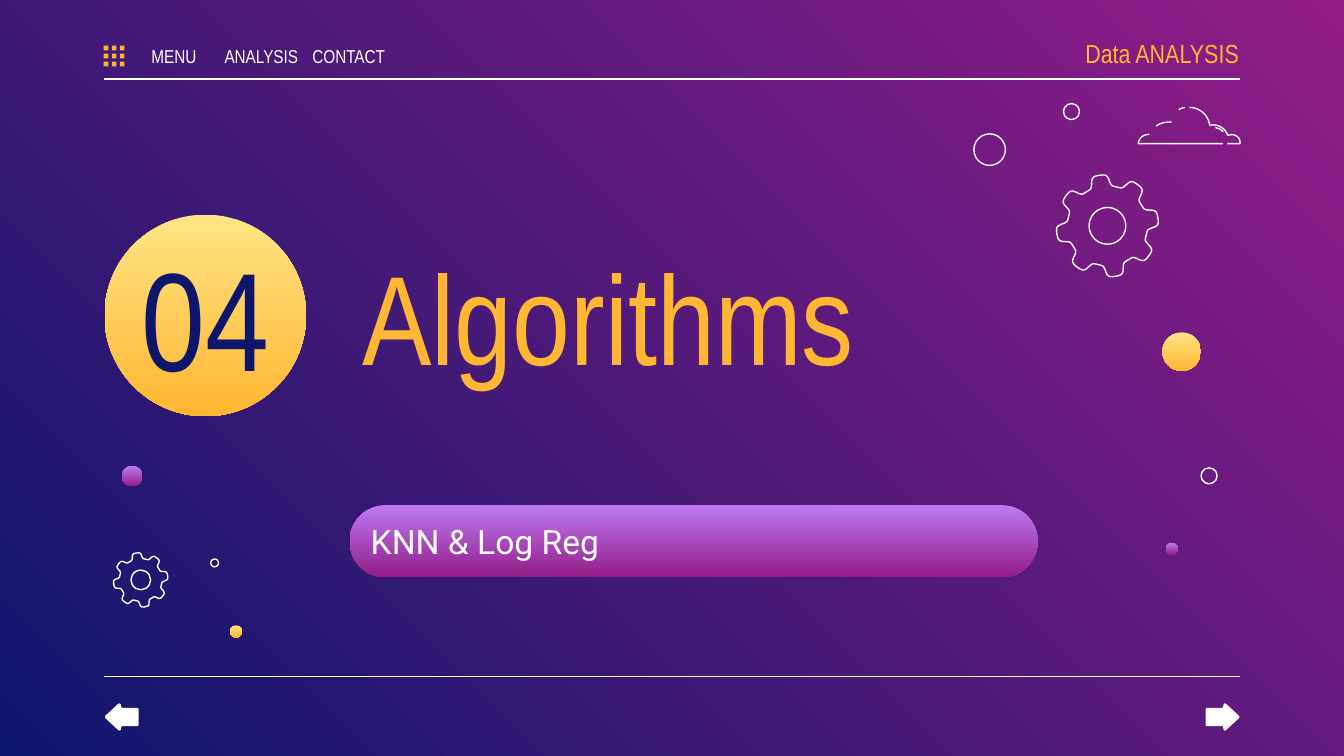
from dataclasses import dataclass
from itertools import product
from math import cos, pi, sin, tanh

from lxml.etree import SubElement
from pptx import Presentation
from pptx.dml.color import RGBColor
from pptx.enum.shapes import MSO_CONNECTOR, MSO_SHAPE
from pptx.enum.text import MSO_ANCHOR, MSO_AUTO_SIZE, PP_ALIGN
from pptx.oxml.ns import qn
from pptx.util import Pt


@dataclass(frozen=True)
class Theme:
    white: str = "FFFFFF"
    amber: str = "FFB632"
    navy: str = "0E166C"
    backdrop: tuple = ("921D87", "0E166C")
    gold: tuple = ("FFE485", "FFB632")
    violet: tuple = ("BE7AF3", "921D87")
    heading_font: str = "Arial Narrow"
    body_font: str = "Roboto"
    menu_size: float = 10
    brand_size: float = 14
    topic_size: float = 18
    title_size: float = 68
    number_size: float = 75
    stroke: float = 0.75


THEME = Theme()


# Shared helpers
def paint_gradient(fill, colors, clockwise):
    fill.gradient()
    fill.gradient_angle = 360 - clockwise
    for stop, color, position in zip(fill.gradient_stops, colors, (0, 1)):
        stop.color.rgb = RGBColor.from_string(color)
        stop.position = position


def style(shape, fill=None, line=None):
    """Fill with a colour, a pair of gradient colours or nothing."""
    shape.shadow.inherit = False
    if fill is None:
        shape.fill.background()
    elif isinstance(fill, tuple):
        paint_gradient(shape.fill, fill, 90)
    else:
        shape.fill.solid()
        shape.fill.fore_color.rgb = RGBColor.from_string(fill)
    if line is None:
        shape.line.fill.background()
    else:
        shape.line.color.rgb = RGBColor.from_string(line)
        shape.line.width = Pt(THEME.stroke)


def add_preset(shapes, kind, box, fill=None, line=None):
    shape = shapes.add_shape(kind, *map(Pt, box))
    style(shape, fill, line)
    return shape


def add_outline(shapes, points, closed, fill=None, line=None):
    corners = [(Pt(x), Pt(y)) for x, y in points]
    builder = shapes.build_freeform(*corners[0])
    builder.add_line_segments(corners[1:], close=closed)
    style(builder.convert_to_shape(), fill, line)


def add_circle(shapes, center_x, center_y, diameter, fill=None, line=None):
    box = (center_x - diameter / 2, center_y - diameter / 2, diameter, diameter)
    add_preset(shapes, MSO_SHAPE.OVAL, box, fill, line)


def write(holder, text, size, color, font=THEME.heading_font,
          align=PP_ALIGN.LEFT, insets=(7.2, 7.2)):
    frame = holder.text_frame
    frame.text = text
    frame.word_wrap = True
    frame.auto_size = MSO_AUTO_SIZE.NONE
    frame.vertical_anchor = MSO_ANCHOR.MIDDLE
    frame.margin_left, frame.margin_right = map(Pt, insets)
    frame.margin_top = frame.margin_bottom = Pt(7.2)
    paragraph = frame.paragraphs[0]
    paragraph.alignment = align
    run_font = paragraph.runs[0].font
    run_font.name, run_font.size = font, Pt(size)
    run_font.color.rgb = RGBColor.from_string(color)


def add_label(slide, box, *args, **options):
    write(slide.shapes.add_textbox(*map(Pt, box)), *args, **options)


def add_rule(slide, left, y, width):
    rule = slide.shapes.add_connector(
        MSO_CONNECTOR.STRAIGHT, Pt(left), Pt(y), Pt(left + width), Pt(y))
    rule.line.color.rgb = RGBColor.from_string(THEME.white)
    rule.line.width = Pt(THEME.stroke)
    SubElement(rule.element.spPr, qn("a:effectLst"))


# Drawn ornaments
def add_gear(shapes, center_x, center_y, radius):
    steps = 192
    outline = []
    for step in range(steps):
        angle = 2 * pi * step / steps
        tooth = tanh(2.5 * cos(8 * (angle + pi / 20))) / tanh(2.5)
        reach = radius * (0.89 + 0.11 * tooth)
        outline.append((center_x + reach * cos(angle), center_y + reach * sin(angle)))
    add_outline(shapes, outline, True, line=THEME.white)
    add_circle(shapes, center_x, center_y, radius * 0.72, line=THEME.white)


def bezier(start, control_1, control_2, end, steps=12):
    for step in range(steps + 1):
        t = step / steps
        weights = ((1 - t) ** 3, 3 * t * (1 - t) ** 2, 3 * t * t * (1 - t), t ** 3)
        yield tuple(sum(w * value for w, value in zip(weights, axis))
                    for axis in zip(start, control_1, control_2, end))


def add_cloud(slide, left, top):
    # Each stroke is a start point followed by control, control, end
    strokes = [
        [(27.4, 0), (33, 0), (37.5, 4), (38.3, 9.5), (42.5, 8.6), (46.5, 11), (48, 15),
         (51.5, 13.6), (55, 16), (54.5, 19.4), (52, 19.4), (50, 19.4), (47.8, 19.4)],
        [(25, 0), (25, 0), (22.5, 0.3), (21.8, 1.3)],
        [(45.4, 19.4), (30, 19.4), (15, 19.4), (0, 19.4), (0, 19.4), (0.5, 14.4), (6, 14.4)],
        [(41.3, 10.8), (41.3, 10.8), (44, 11.2), (45.4, 13)],
        [(17.9, 7.9), (17.9, 7.9), (13, 7.2), (9.6, 10)],
    ]
    cloud = slide.shapes.add_group_shape()
    for stroke in strokes:
        points = [point for i in range(0, len(stroke) - 1, 3)
                  for point in bezier(*stroke[i:i + 4])]
        add_outline(cloud.shapes, [(left + x, top + y) for x, y in points],
                    False, line=THEME.white)


def add_arrow(slide, left, top, direction):
    """Draw an 18 by 15 point arrow with softened corners; direction is 1 or -1."""
    upper = [(-9, -0.5), (-1.9, -7.1), (-1.2, -7.3), (-0.6, -6.9), (-0.3, -5.2),
             (0.2, -4.9), (8.4, -4.9), (9, -4.3)]
    half = [(x * -direction, y) for x, y in upper]
    profile = half + [(x, -y) for x, y in reversed(half)]
    add_outline(slide.shapes, [(left + 9 + x, top + 7.5 + y) for x, y in profile],
                True, fill=THEME.white)


# Slide regions
def draw_header(slide, left, top, width):
    add_rule(slide, left, top + 20.3, width)
    menu_icon = slide.shapes.add_group_shape()
    for column, row in product(range(3), repeat=2):
        box = (left + 4.3 * column, top + 2.5 + 4.3 * row, 2.5, 2.5)
        add_preset(menu_icon.shapes, MSO_SHAPE.RECTANGLE, box, THEME.amber)
    for i, entry in enumerate(("MENU", "ANALYSIS", "CONTACT")):
        add_label(slide, (left + 17.1 + 46.8 * i, top - 0.4, 41, 16.6), entry,
                  THEME.menu_size, THEME.white, align=PP_ALIGN.CENTER, insets=(0, 0))
    add_label(slide, (left + width - 108.6, top - 5.4, 108, 23.8), "Data ANALYSIS",
              THEME.brand_size, THEME.amber, align=PP_ALIGN.RIGHT, insets=(7.2, 0))


def draw_section(slide, left, top):
    # Numbered disc
    add_circle(slide.shapes, left + 54, top + 69, 108, THEME.gold)
    add_label(slide, (left, top + 39, 108, 60), "04", THEME.number_size, THEME.navy,
              align=PP_ALIGN.CENTER)
    # Section title
    title = slide.shapes.title
    title.left, title.top, title.width, title.height = map(
        Pt, (left + 131, top, 350, 137))
    write(title, "Algorithms", THEME.title_size, THEME.amber)
    # Topic pill
    pill = add_preset(slide.shapes, MSO_SHAPE.ROUNDED_RECTANGLE,
                      (left + 131.3, top + 170.6, 368.6, 38.7), THEME.violet)
    pill.adjustments[0] = 0.5
    add_label(slide, (left + 135.5, top + 178, 361, 24), "KNN & Log Reg",
              THEME.topic_size, THEME.white, THEME.body_font)


def draw_ornaments(slide):
    rings = [(574, 59.8, 8.6), (647.7, 254.9, 8.6), (530.2, 80.2, 16.9), (115, 301.6, 4.2)]
    for ring in rings:
        add_circle(slide.shapes, *ring, line=THEME.white)
    dots = [(633.1, 188.4, 20.7, THEME.gold), (126.5, 338.3, 6.6, THEME.gold),
            (70.8, 255, 11, THEME.violet), (627.8, 294, 6.5, THEME.violet)]
    for dot in dots:
        add_circle(slide.shapes, *dot)
    add_gear(slide.shapes, 593.3, 121, 27.4)
    add_gear(slide.shapes, 75.4, 310.7, 14.6)
    add_cloud(slide, 609.8, 57.6)


def draw_footer(slide, left, top, width):
    add_rule(slide, left, top, width)
    add_arrow(slide, left + 0.7, top + 14, -1)
    add_arrow(slide, left + width - 18.5, top + 14, 1)


def main():
    deck = Presentation()
    deck.slide_width, deck.slide_height = Pt(720), Pt(405)
    slide = deck.slides.add_slide(deck.slide_layouts[5])
    paint_gradient(slide.background.fill, THEME.backdrop, 135)
    left, width = 55.6, 608.8
    draw_header(slide, left, 22, width)
    draw_section(slide, 56, 100)
    draw_ornaments(slide)
    draw_footer(slide, left, 362.6, width)
    deck.save("out.pptx")


if __name__ == "__main__":
    main()
